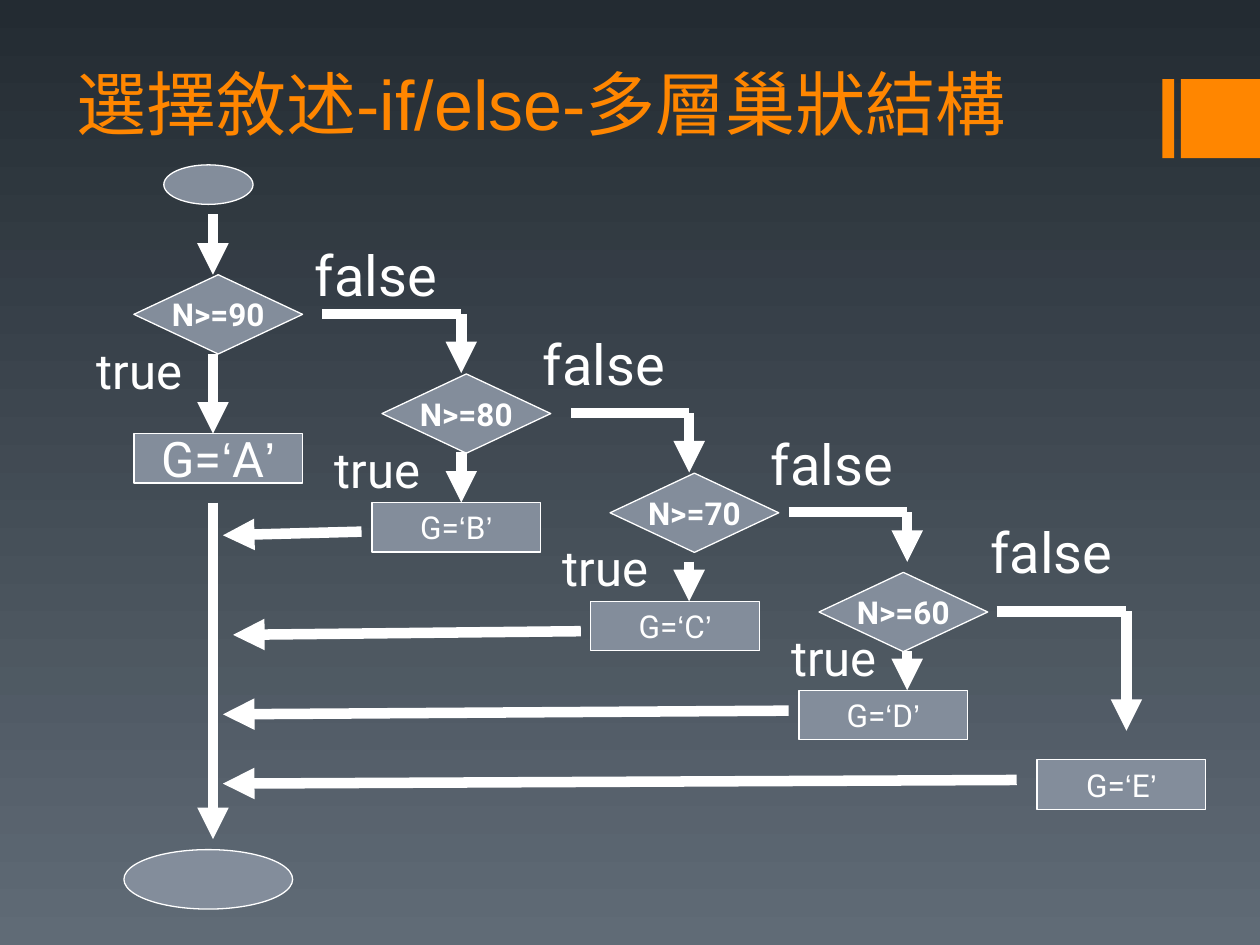
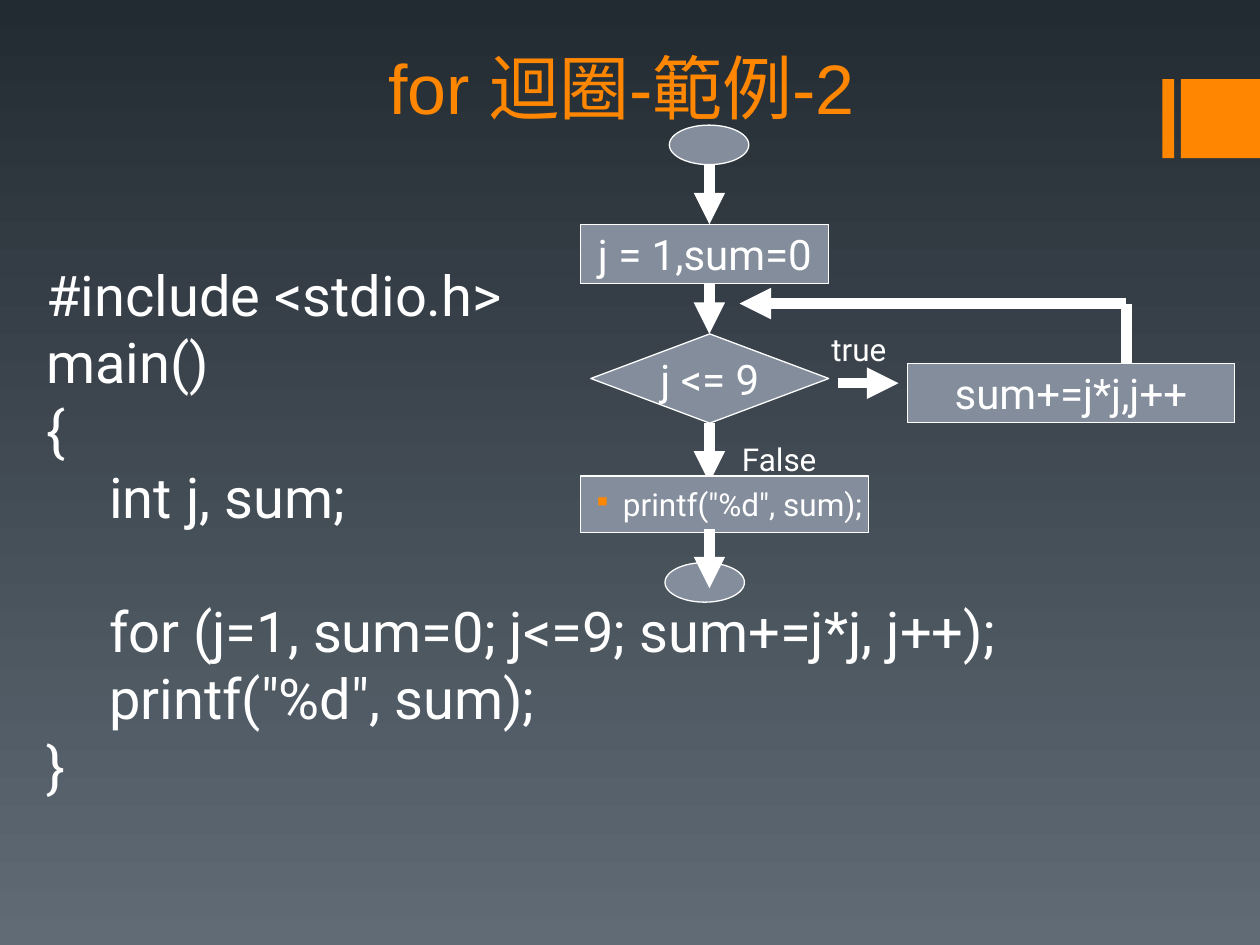
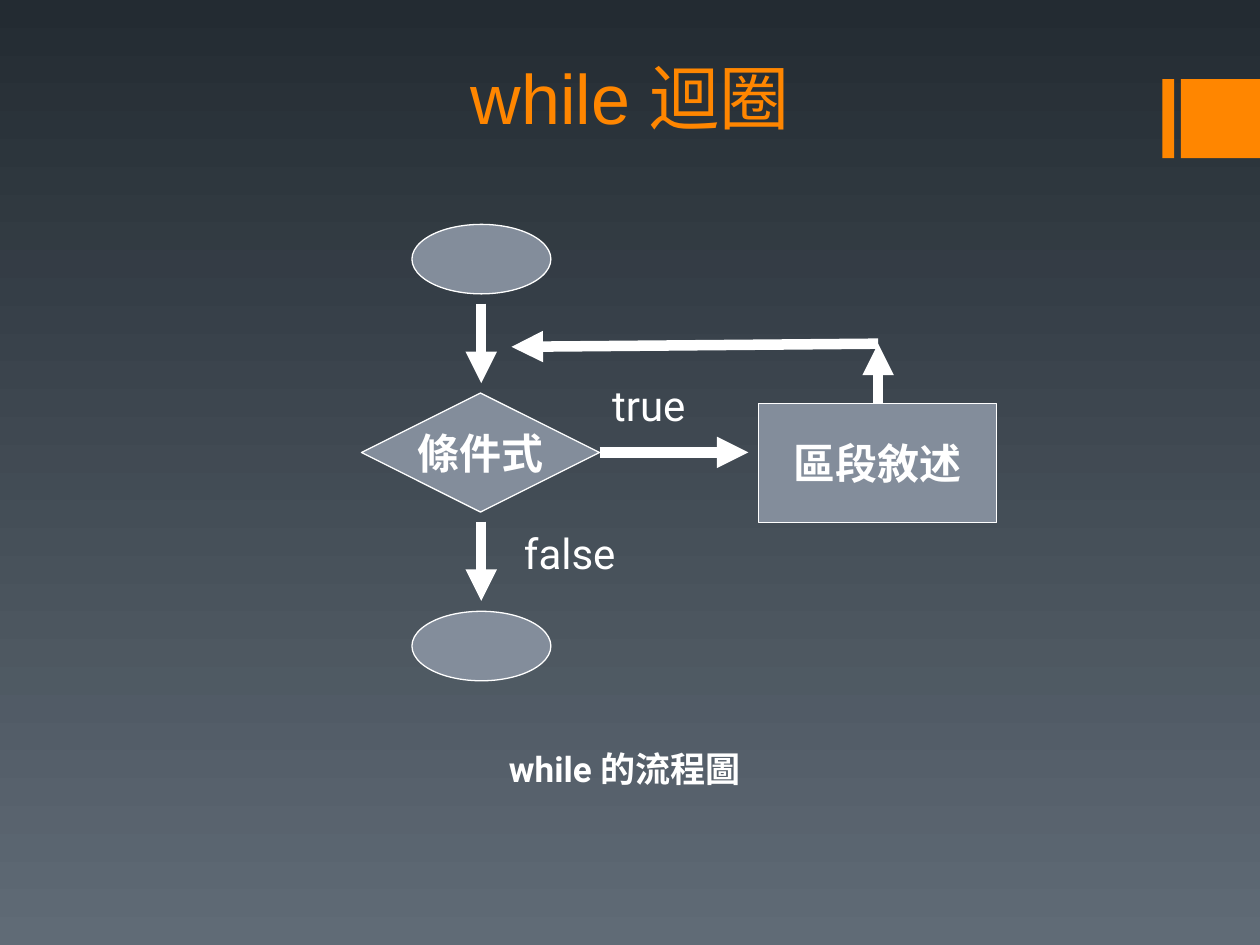
"""Build three flowchart slides on nested if/else, the for loop and the while loop."""
from itertools import groupby

from lxml import etree
from pptx import Presentation
from pptx.dml.color import RGBColor
from pptx.enum.shapes import MSO_CONNECTOR, MSO_SHAPE
from pptx.enum.text import MSO_ANCHOR, MSO_AUTO_SIZE, PP_ALIGN
from pptx.oxml.ns import qn
from pptx.util import Pt

ORANGE = RGBColor(0xFF, 0x86, 0x00)
WHITE = RGBColor(0xFF, 0xFF, 0xFF)
STEEL = RGBColor(0x83, 0x8D, 0x9B)
BACKGROUND_TOP = RGBColor(0x23, 0x2B, 0x32)
BACKGROUND_BOTTOM = RGBColor(0x60, 0x6B, 0x76)
TITLE_FONT = "Arial"
BODY_FONT = "Roboto"
LEFT, CENTER = PP_ALIGN.LEFT, PP_ALIGN.CENTER
TOP, MIDDLE, BOTTOM = MSO_ANCHOR.TOP, MSO_ANCHOR.MIDDLE, MSO_ANCHOR.BOTTOM
NO_AUTOFIT = MSO_AUTO_SIZE.NONE
RECTANGLE, OVAL = MSO_SHAPE.RECTANGLE, MSO_SHAPE.OVAL
DECISION = MSO_SHAPE.FLOWCHART_DECISION
PROCESS = MSO_SHAPE.FLOWCHART_PROCESS
TERMINAL = MSO_SHAPE.FLOWCHART_CONNECTOR
STRAIGHT = MSO_CONNECTOR.STRAIGHT


def write(shape, text, size=18, bold=False, color=WHITE, font=BODY_FONT,
          align=LEFT, anchor=TOP, wrap=True, node=False, bullet=None):
    """Write text into a shape; node=True also gives it the flowchart look."""
    if node:
        shape.shadow.inherit = False
        shape.fill.solid()
        shape.fill.fore_color.rgb = STEEL
        shape.line.color.rgb = WHITE
        shape.line.width = Pt(0.75)
        align, anchor, wrap = LEFT if bullet else CENTER, MIDDLE, False
    frame = shape.text_frame
    frame.auto_size = NO_AUTOFIT
    frame.word_wrap = wrap
    frame.vertical_anchor = anchor
    for number, line in enumerate(text.split("\n")):
        paragraph = frame.add_paragraph() if number else frame.paragraphs[0]
        paragraph.alignment = align
        if bullet:
            properties = paragraph._p.get_or_add_pPr()
            properties.set("marL", str(Pt(17)))
            properties.set("indent", str(Pt(-17)))
            bullet_color = etree.SubElement(properties, qn("a:buClr"))
            etree.SubElement(bullet_color, qn("a:srgbClr"), val=str(ORANGE))
            etree.SubElement(properties, qn("a:buSzPct"), val="80000")
            etree.SubElement(properties, qn("a:buChar"), char=bullet)
        for quoted, letters in groupby(line, lambda letter: letter in "‘’"):
            run = paragraph.add_run()
            run.text = "".join(letters)
            run.font.name = TITLE_FONT if quoted else font
            run.font.size = Pt(size)
            run.font.bold = bold
            run.font.color.rgb = color
    return frame


def connect(slide, x1, y1, x2, y2, arrow=True):
    """Draw a thick white line, with an arrowhead at its end if wanted."""
    connector = slide.shapes.add_connector(STRAIGHT, Pt(x1), Pt(y1), Pt(x2), Pt(y2))
    connector.line.color.rgb = WHITE
    connector.line.width = Pt(6)
    properties = connector.element.spPr
    if arrow:
        etree.SubElement(properties.find(qn("a:ln")), qn("a:tailEnd"), type="triangle")
    etree.SubElement(properties, qn("a:effectLst"))


presentation = Presentation()
presentation.slide_width, presentation.slide_height = Pt(720), Pt(540)
master = presentation.slide_master
backdrop = master.background.fill
backdrop.gradient()
backdrop.gradient_angle = 270
for stop, color, position in zip(backdrop.gradient_stops, (BACKGROUND_TOP, BACKGROUND_BOTTOM), (0, 1)):
    stop.color.rgb = color
    stop.position = position

slides = []
for heading, box, align in [
    ("選擇敘述-if/else-多層巢狀結構", (36.7, 15.1, 648, 71.3), LEFT),
    ("for 迴圈-範例-2", (31, 0, 648, 77), CENTER),
    ("while 迴圈", (36, 23, 648, 59.8), CENTER),
]:
    slide = presentation.slides.add_slide(presentation.slide_layouts[5])
    title = slide.shapes.title
    title.left, title.top, title.width, title.height = map(Pt, box)
    write(title, heading, size=40, color=ORANGE, font=TITLE_FONT, align=align, anchor=BOTTOM)
    slides.append(slide)
nested_if, for_loop, while_loop = slides

for left, width in [(664.3, 6.7), (674.8, 45.2)]:
    band = nested_if.shapes.add_shape(RECTANGLE, Pt(left), Pt(45.2), Pt(width), Pt(45.2))
    band.shadow.inherit = False
    band.fill.solid()
    band.fill.fore_color.rgb = ORANGE
    band.line.fill.background()
    master.shapes.element.append(band.element)

for box in [(93.6, 94.2, 51, 22.6), (70.8, 485.5, 96.4, 34)]:
    write(nested_if.shapes.add_shape(OVAL, *map(Pt, box)), "", node=True)
connect(nested_if, 121.7, 122.5, 121.7, 157)
connect(nested_if, 121.7, 287.2, 121.7, 479.5)

GRADES = [("A", 76.5, 247.8, 28), ("B", 212.6, 287.2, 18), ("C", 337.6, 343.6, 18),
          ("D", 456.6, 394.4, 18), ("E", 592.6, 434.2, 18)]
for grade, left, top, size in GRADES:
    box = nested_if.shapes.add_shape(PROCESS, Pt(left), Pt(top), Pt(96.4), Pt(28.3))
    write(box, f"G=‘{grade}’", size=size, node=True)
for start_x, start_y, end_x in [(206.6, 303.8, 127.4), (331.9, 360.7, 133.2),
                                (450.7, 406.1, 127.4), (581, 445.7, 127.4)]:
    connect(nested_if, start_x, start_y, end_x, start_y + 2.1)

BRANCH_X = [121.7, 263.6, 393.8, 518.4, 643.7]
TESTS = [
    (90, 76.5, 202.4, 184.3, 213.2, (48.2, 190.8), (172.8, 133.9)),
    (80, 218.3, 258.5, 326.2, 270, (184.3, 247.7), (303.1, 185)),
    (70, 348.6, 321, 450.7, 321.1, (314.6, 303.8), (433.4, 241.9)),
    (60, 468, 372.2, 569.5, 417.6, (445, 355), (558.7, 292.3)),
]
for level, (limit, left, true_start, false_start, false_end, true_at, false_at) in enumerate(TESTS):
    top = 157 + 56.7 * level
    elbow_y = top + 22.3
    true_x, false_x = BRANCH_X[level:level + 2]
    test = nested_if.shapes.add_shape(DECISION, Pt(left), Pt(top), Pt(96.4), Pt(45.3))
    write(test, f"N>={limit}", bold=True, node=True)
    connect(nested_if, true_x, true_start, true_x, GRADES[level][2])
    connect(nested_if, false_start, elbow_y, false_x, elbow_y, arrow=False)
    connect(nested_if, false_x, elbow_y, false_x, false_end)
    for answer, place, extent, size in [("true", true_at, (73.4, 41), 28),
                                        ("false", false_at, (130.3, 46), 32)]:
        write(nested_if.shapes.add_textbox(*map(Pt, place + extent)), answer, size=size)

CODE = """#include <stdio.h>
main()
{
\tint j, sum;
\tfor (j=1, sum=0; j<=9; sum+=j*j, j++);
\tprintf("%d", sum);
}"""
listing = write(for_loop.shapes.add_textbox(Pt(19.4), Pt(145.4), Pt(674.6), Pt(314.6)), CODE, size=32)
listing.paragraphs[4].space_before = Pt(38.4)

for kind, box, text in [
    (DECISION, (337.6, 190.8, 136, 51), "j <= 9"),
    (PROCESS, (331.9, 128.2, 141.7, 34), "j = 1,sum=0"),
    (PROCESS, (518.4, 207.6, 187.2, 34), "sum+=j*j,j++"),
    (OVAL, (382.5, 71.5, 45.4, 22.6), ""),
    (OVAL, (380, 321.5, 45.4, 22.6), ""),
]:
    write(for_loop.shapes.add_shape(kind, *map(Pt, box)), text, size=24, node=True)
for start_y, end_y in [(94.3, 128.2), (162.2, 190.8), (241.8, 275.8)]:
    connect(for_loop, 405.4, start_y, 405.4, end_y)
connect(for_loop, 643.7, 207.6, 643.7, 173.5, arrow=False)
connect(for_loop, 643.7, 173.5, 422.6, 173.5)
connect(for_loop, 479, 219, 513.4, 219)
for answer, left, top in [("true", 468, 185), ("False", 416.9, 247.7)]:
    write(for_loop.shapes.add_textbox(Pt(left), Pt(top), Pt(62.6), Pt(28.8)), answer)
output = for_loop.shapes.add_shape(PROCESS, Pt(331.9), Pt(272), Pt(164.4), Pt(32.4))
write(output, 'printf("%d", sum);', node=True, bullet="▪")
connect(for_loop, 405.4, 302.4, 405.4, 336.2)

for kind, box, text in [
    (TERMINAL, (235.4, 128.2, 79.4, 39.7), ""),
    (DECISION, (206.6, 224.6, 136, 68), "條件式"),
    (PROCESS, (433.6, 230.4, 136, 68.2), "區段敘述"),
    (TERMINAL, (235.4, 349.3, 79.4, 39.7), ""),
]:
    write(while_loop.shapes.add_shape(kind, *map(Pt, box)), text, size=24, bold=True, node=True)
for route in [(275, 173.5, 275, 218.9), (275, 298.1, 275, 343.4), (342.7, 258.5, 427.7, 258.5),
              (501.8, 196.4, 292.3, 198.2), (501.8, 230.4, 501.8, 196.4)]:
    connect(while_loop, *route)
for answer, left, top in [("true", 342.7, 213.1), ("false", 292.3, 298.1)]:
    write(while_loop.shapes.add_textbox(Pt(left), Pt(top), Pt(73.4), Pt(36)), answer, size=24)
caption = while_loop.shapes.add_textbox(Pt(212.4), Pt(423.4), Pt(289.4), Pt(31.7))
write(caption, "while 的流程圖", size=20, bold=True, align=CENTER)

presentation.save("out.pptx")
